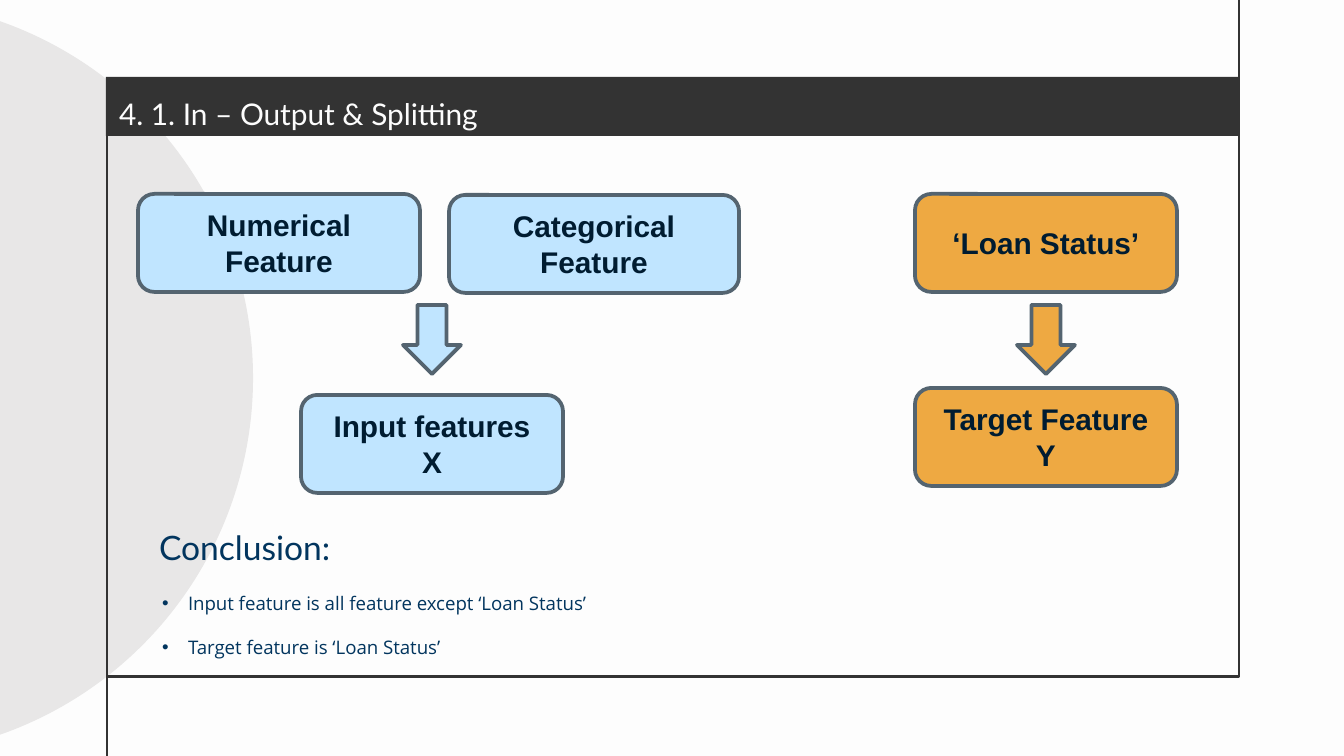
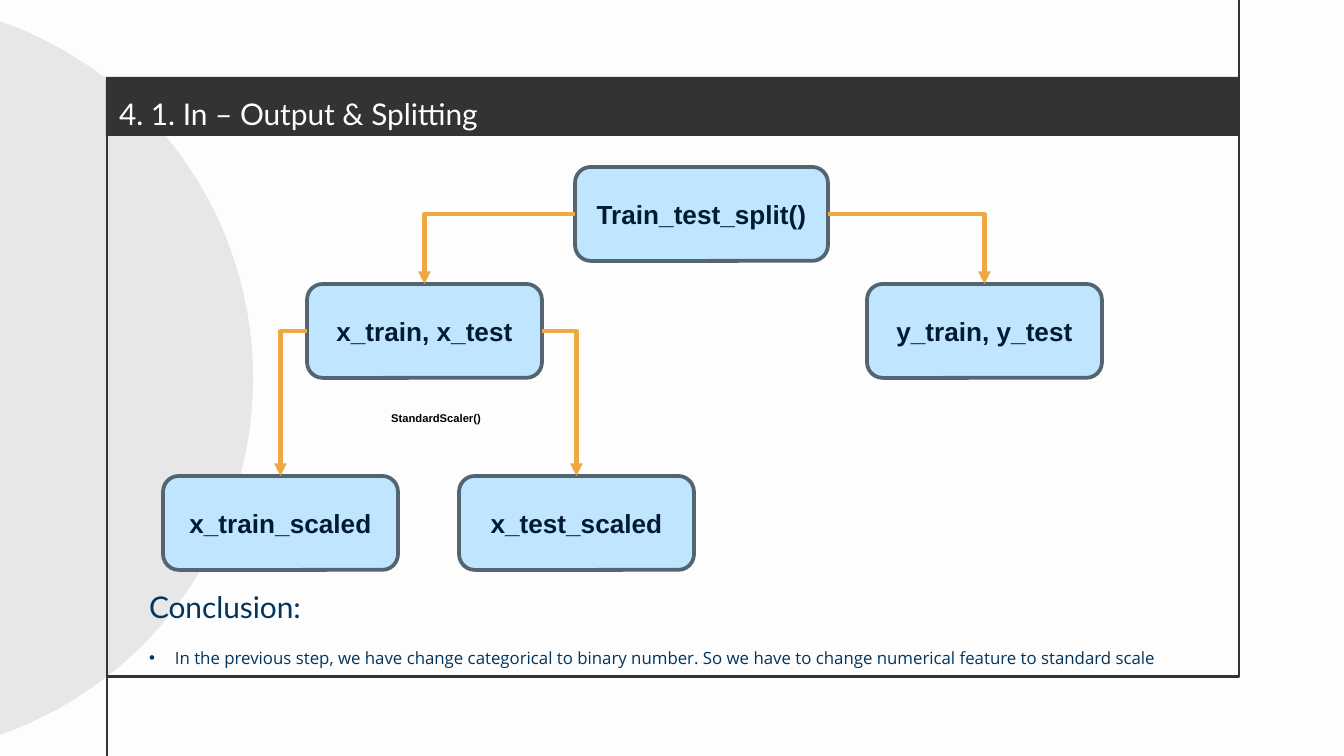
from lxml import etree
from pptx import Presentation
from pptx import util as u
from pptx.dml.color import RGBColor
from pptx.enum import shapes, text
from pptx.oxml.ns import qn

PX = 914400 / 134.4
WIDTH, HEIGHT = 1344, 756
LEFT, TOP, RIGHT, BOTTOM = 107, 78, 1239, 677

PAPER = RGBColor(0xFD, 0xFD, 0xFD)
MIST = RGBColor(0xE8, 0xE7, 0xE7)
CHARCOAL = RGBColor(0x33, 0x33, 0x33)
SKY = RGBColor(0xC0, 0xE5, 0xFF)
ORANGE = RGBColor(0xEE, 0xA9, 0x42)
SLATE = RGBColor(0x54, 0x64, 0x70)
INK = RGBColor(0x00, 0x1C, 0x31)
NAVY = RGBColor(0x02, 0x35, 0x5E)
BLACK = RGBColor(0, 0, 0)

SHAPE = shapes.MSO_SHAPE
ALIGN = text.PP_ALIGN
ANCHOR = text.MSO_ANCHOR


def px(n):
    """Turn pixels into EMU."""
    return u.Emu(round(n * PX))


def place(sp, x, y, w, h):
    """Move and size a shape."""
    sp.left, sp.top, sp.width, sp.height = px(x), px(y), px(w), px(h)


def write(sp, lines, size, font="Arial", color=INK, bold=False, align=ALIGN.LEFT,
          anchor=ANCHOR.TOP, inset=None, spacing=None, bullet=False):
    """Fill a shape with one paragraph per line."""
    tf = sp.text_frame
    tf.word_wrap = True
    tf.auto_size = text.MSO_AUTO_SIZE.NONE
    tf.vertical_anchor = anchor
    if inset is not None:
        tf.margin_left = tf.margin_right = tf.margin_top = tf.margin_bottom = px(inset)
    for i, line in enumerate(lines):
        p = tf.paragraphs[0] if i == 0 else tf.add_paragraph()
        p.text = line
        if bullet:
            add_bullet(p, color)
        p.alignment = align
        p.space_before = u.Pt(0)
        if spacing:
            p.line_spacing = spacing
        for r in p.runs:
            r.font.name, r.font.size, r.font.bold = font, u.Pt(size), bold
            r.font.color.rgb = color


def add_bullet(p, color, indent=26):
    """Give a paragraph a round bullet with a hanging indent."""
    pPr = p._p.get_or_add_pPr()
    pPr.set("marL", str(px(indent)))
    pPr.set("indent", str(-px(indent)))
    clr = etree.SubElement(pPr, qn("a:buClr"))
    etree.SubElement(clr, qn("a:srgbClr")).set("val", str(color))
    etree.SubElement(pPr, qn("a:buFont")).set("typeface", "Arial")
    etree.SubElement(pPr, qn("a:buChar")).set("char", "•")


def add_shape(slide, kind, x, y, w, h, fill=None, line=None, weight=2):
    """Add a preset shape without shadow."""
    sp = slide.shapes.add_shape(kind, px(x), px(y), px(w), px(h))
    sp.shadow.inherit = False
    if fill is None:
        sp.fill.background()
    else:
        sp.fill.solid()
        sp.fill.fore_color.rgb = fill
    if line is None:
        sp.line.fill.background()
    else:
        sp.line.color.rgb = line
        sp.line.width = u.Pt(weight)
    return sp


def add_box(slide, lines, x, y, w, h, size, fill=SKY):
    """Add a rounded box with a bold centred label."""
    sp = add_shape(slide, SHAPE.ROUNDED_RECTANGLE, x, y, w, h, fill, SLATE)
    write(sp, lines, size, bold=True, align=ALIGN.CENTER, anchor=ANCHOR.MIDDLE)
    return sp


def add_label(slide, label, x, y, w, h, size, **fmt):
    """Add a one-line text box."""
    sp = slide.shapes.add_textbox(px(x), px(y), px(w), px(h))
    write(sp, [label], size, **fmt)


def add_line(slide, kind, color, weight, x1=0, y1=0, x2=0, y2=0):
    """Add a connector without shadow."""
    c = slide.shapes.add_connector(kind, px(x1), px(y1), px(x2), px(y2))
    c.line.color.rgb = color
    c.line.width = u.Pt(weight)
    etree.SubElement(c.element.spPr, qn("a:effectLst"))
    return c


def add_branch(slide, parent, side, child):
    """Run an elbow arrow from a side of the parent to the top of the child."""
    c = add_line(slide, shapes.MSO_CONNECTOR.ELBOW, ORANGE, 2.25)
    c.begin_connect(parent, side)
    c.end_connect(child, 0)
    c.element.spPr.find(qn("a:prstGeom")).set("prst", "bentConnector2")
    etree.SubElement(c.line._get_or_add_ln(), qn("a:tailEnd")).set("type", "triangle")


def add_backdrop(slide, layout):
    """Draw the circle and frame and hand them to the layout."""
    straight = shapes.MSO_CONNECTOR.STRAIGHT
    parts = [
        add_shape(slide, SHAPE.OVAL, -503, 0, HEIGHT, HEIGHT, MIST),
        add_shape(slide, SHAPE.RECTANGLE, LEFT, TOP, RIGHT - LEFT, BOTTOM - TOP,
                  line=CHARCOAL, weight=1.5),
        add_line(slide, straight, CHARCOAL, 1.5, LEFT, BOTTOM, LEFT, HEIGHT),
        add_line(slide, straight, CHARCOAL, 1.5, RIGHT, 0, RIGHT, TOP),
    ]
    for i, part in enumerate(parts):
        part.element.xpath(".//p:cNvPr")[0].set("id", str(100 + i))
        layout.shapes.element.insert(2 + i, part.element)


def add_slide(prs, layout):
    """Add a slide with the title band."""
    slide = prs.slides.add_slide(layout)
    title = slide.shapes.title
    place(title, LEFT - 1, TOP - 1, RIGHT - LEFT + 1, 59)
    title.fill.solid()
    title.fill.fore_color.rgb = CHARCOAL
    write(title, ["4. 1. In – Output & Splitting"], 16, font="Lato", color=PAPER,
          inset=13, spacing=1.15)
    return slide


def add_conclusion(slide, head_at, head_size, points, points_at, size):
    """Add the conclusion heading and its bullet list."""
    add_label(slide, "Conclusion:", *head_at, 513, 63, head_size, font="Lato",
              color=NAVY, anchor=ANCHOR.BOTTOM, inset=13)
    body = slide.placeholders[1]
    place(body, *points_at, 1046, 85)
    write(body, points, size, font="Open Sans", color=NAVY, inset=13, spacing=2.0,
          bullet=True)


def fill_features(slide):
    """Show which features are input and which is the target."""
    add_box(slide, ["Numerical Feature"], 138, 194, 282, 98, 16)
    add_box(slide, ["Categorical Feature"], 449, 195, 290, 98, 16)
    add_box(slide, ["Input features\vX"], 301, 395, 262, 98, 16)
    add_box(slide, ["Target Feature", "Y"], 915, 388, 262, 98, 16, ORANGE)
    add_box(slide, ["‘Loan Status’"], 915, 194, 262, 98, 16, ORANGE)
    for x, fill in ((403, SKY), (1017, ORANGE)):
        add_shape(slide, SHAPE.DOWN_ARROW, x, 305, 58, 69, fill, SLATE)
    add_conclusion(slide, (146, 517), 18,
                   ["Input feature is all feature except ‘Loan Status’",
                    "Target feature is ‘Loan Status’"], (149, 556), 10)


def fill_split(slide):
    """Show the train and test split as a tree."""
    split, x_sets, y_sets, x_train, x_test = [
        add_box(slide, [label], x, y, w, 94, 14) for label, x, y, w in (
            ("Train_test_split()", 575, 167, 253),
            ("x_train, x_test", 307, 284, 235),
            ("y_train, y_test", 867, 284, 235),
            ("x_train_scaled", 163, 476, 235),
            ("x_test_scaled", 459, 476, 235))]
    for parent, left, right in ((split, x_sets, y_sets), (x_sets, x_train, x_test)):
        add_branch(slide, parent, 1, left)
        add_branch(slide, parent, 3, right)
    add_label(slide, "StandardScaler()", 378, 405, 202, 27, 6, color=BLACK, bold=True)
    add_conclusion(slide, (136, 574), 16,
                   ["In the previous step, we have change categorical to binary number. "
                    "So we have to change numerical feature to standard scale"],
                   (136, 614), 9)


def main():
    """Build and save the deck."""
    prs = Presentation()
    prs.slide_width, prs.slide_height = px(WIDTH), px(HEIGHT)
    fill = prs.slide_master.background.fill
    fill.solid()
    fill.fore_color.rgb = PAPER
    layout = prs.slide_layouts[1]
    features, split = add_slide(prs, layout), add_slide(prs, layout)
    add_backdrop(features, layout)
    fill_features(features)
    fill_split(split)
    prs.save("out.pptx")


if __name__ == "__main__":
    main()
